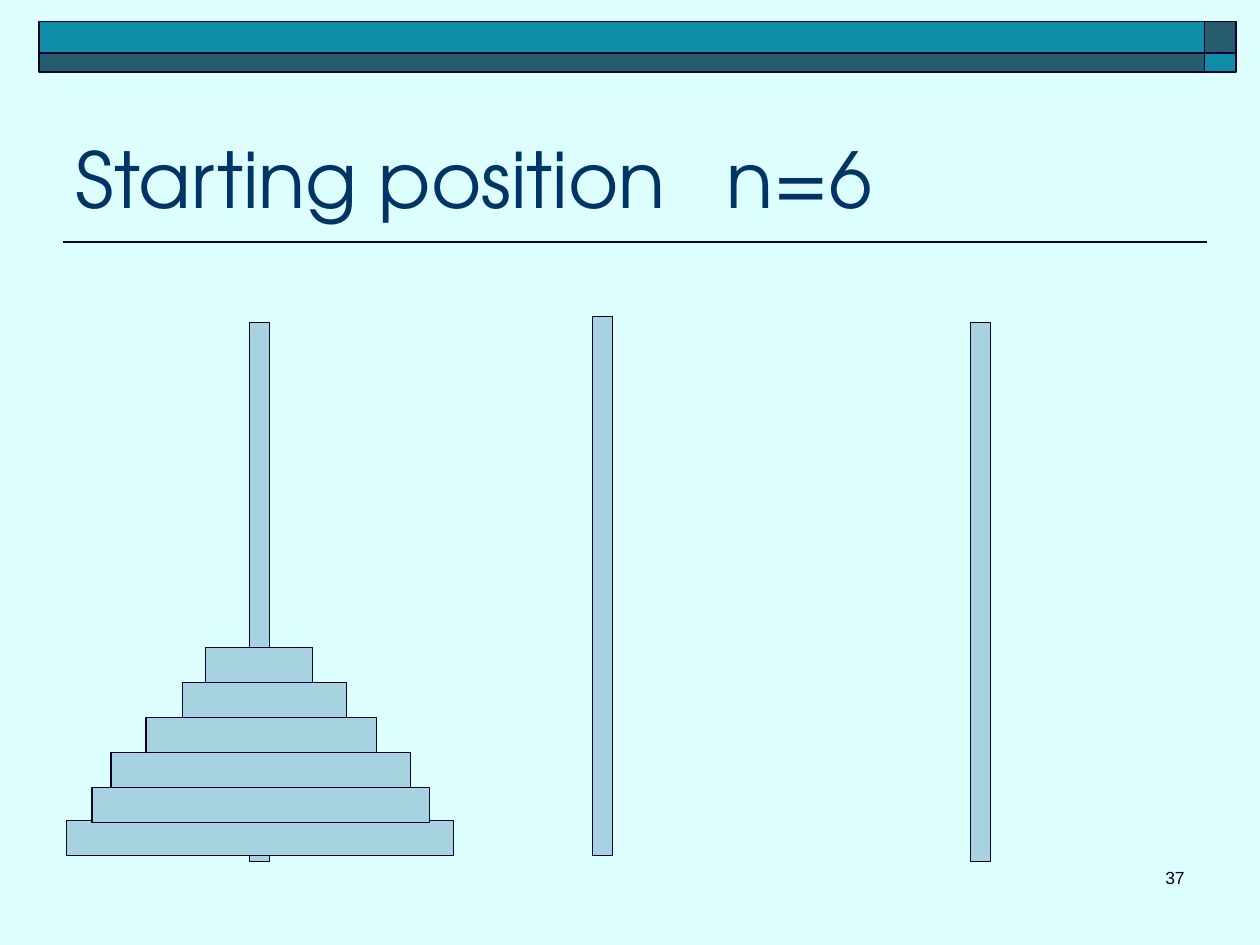
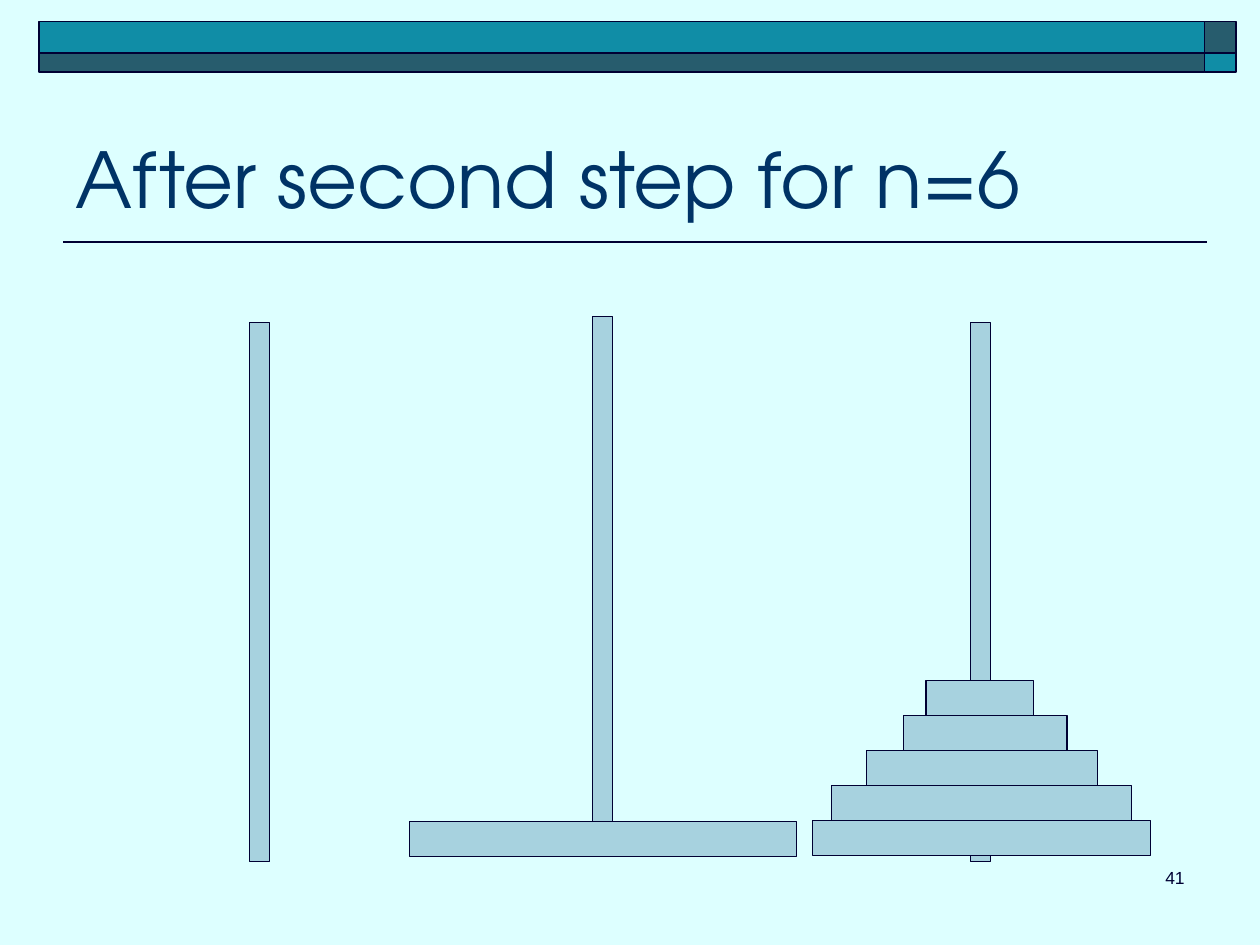
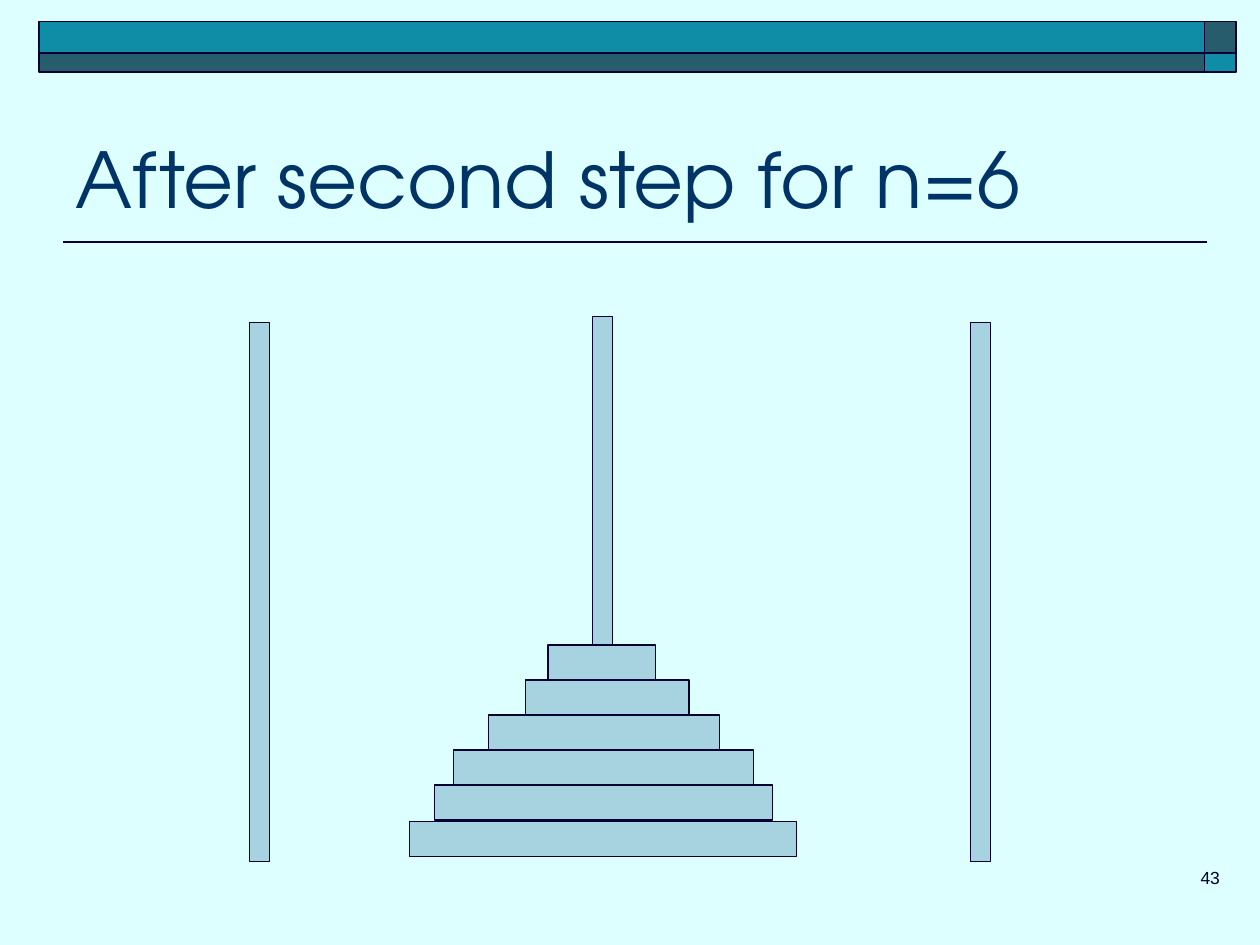
from lxml import etree
from pptx import Presentation
from pptx import util as u
from pptx.dml.color import RGBColor
from pptx.enum import shapes, text
from pptx.oxml.ns import qn

INK, NAVY, TEAL, SLATE, DISC, SKY = "000033", "003366", "108DA6", "275C6D", "A7D2DF", "DDFFFF"
FORMATS = {
    "title": dict(size=u.Pt(44), name="TeX Gyre Adventor", color=NAVY),
    "page": dict(size=u.Pt(10), name="Arial", color=INK),
}
PEGS = [(1.98, 2.56), (4.7, 2.51), (7.7, 2.56)]
DISCS = [(-1.45, 3.07), (-1.25, 2.68), (-1.1, 1.83 + 0.55), (-0.82, 2.38), (-0.53, 1.3), (-0.35, 0.85)]
DISCS = [(-1.45, 3.07), (-1.25, 2.68), (-1.1, 2.38), (-0.82, 1.83), (-0.53, 1.3), (-0.35, 0.85)]
THICK = 1.11 / 4


def rgb(code):
    """Turn a hex string into a colour."""
    return RGBColor.from_string(code)


class Deck:
    """Hold the style and the current slide."""

    def __init__(self):
        """Start an empty deck."""
        self.prs = Presentation()
        self.prs.slide_width, self.prs.slide_height = u.Inches(10), u.Inches(7.5)

    def box(self, left, top, width, height, fill, line):
        """Draw an outlined rectangle."""
        shape = self.slide.shapes.add_shape(
            shapes.MSO_SHAPE.RECTANGLE, *map(u.Inches, (left, top, width, height)))
        shape.shadow.inherit = False
        shape.fill.solid()
        shape.fill.fore_color.rgb = rgb(fill)
        shape.line.color.rgb = rgb(INK)
        shape.line.width = u.Pt(line)

    def rule(self, left, right, top):
        """Draw the line below the title."""
        line = self.slide.shapes.add_connector(
            shapes.MSO_CONNECTOR.STRAIGHT, *map(u.Inches, (left, top, right, top)))
        line.line.color.rgb = rgb(INK)
        line.line.width = u.Pt(1)
        etree.SubElement(line.element.spPr, qn("a:effectLst"))

    def label(self, words, area, kind, anchor="TOP", align="LEFT", tab=None):
        """Write one paragraph, with a tab stop if one is given."""
        frame = self.slide.shapes.add_textbox(*map(u.Inches, area)).text_frame
        frame.word_wrap = True
        frame.vertical_anchor = text.MSO_ANCHOR[anchor]
        para = frame.paragraphs[0]
        para.alignment = text.PP_ALIGN[align]
        if tab:
            stops = etree.SubElement(para._p.get_or_add_pPr(), qn("a:tabLst"))
            etree.SubElement(stops, qn("a:tab"), pos=str(u.Inches(tab)), algn="l")
        run = para.add_run()
        run.text = words
        for key, value in FORMATS[kind].items():
            if key == "color":
                run.font.color.rgb = rgb(value)
            else:
                setattr(run.font, key, value)

    def page(self, title, number, left=7.42, tab=None):
        """Add a slide with its bands, title, number and pegs."""
        self.slide = self.prs.slides.add_slide(self.prs.slide_layouts[6])
        fill = self.slide.background.fill
        fill.solid()
        fill.fore_color.rgb = rgb(SKY)
        self.rule(0.5, 9.58, 1.92)
        for top, height, wide, small in ((0.17, 0.25, TEAL, SLATE), (0.42, 0.15, SLATE, TEAL)):
            self.box(9.56, top, 0.25, height, small, 1)
            self.box(0.31, top, 9.25, height, wide, 1)
        self.label(title, (0.5, 0.58, 9, 1.25), "title", anchor="BOTTOM", tab=tab)
        self.label(number, (left, 6.83, 2.08, 0.5), "page", align="RIGHT")
        for peg, top in PEGS:
            self.box(peg, top, 0.16, 4.28, DISC, 0.75)

    def stack(self, peg, discs, base):
        """Pile discs on a peg from the base upwards."""
        for level, (shift, width) in enumerate(discs):
            self.box(PEGS[peg][0] + shift, base - level * THICK, width, THICK, DISC, 0.75)


def main():
    """Build the three slides."""
    deck = Deck()
    large, rest = DISCS[:1], DISCS[1:]
    deck.page("Starting position\tn=6", "37", tab=5.17)
    deck.stack(0, large, 6.51)
    deck.stack(0, rest, 6.25)
    deck.page("After second step for n=6", "41")
    deck.stack(1, large, 6.52)
    deck.stack(2, rest, 6.51)
    deck.page("After second step for n=6", "43", left=7.7)
    deck.stack(1, large, 6.52)
    deck.stack(1, rest, 6.23)
    deck.prs.save("out.pptx")


if __name__ == "__main__":
    main()
